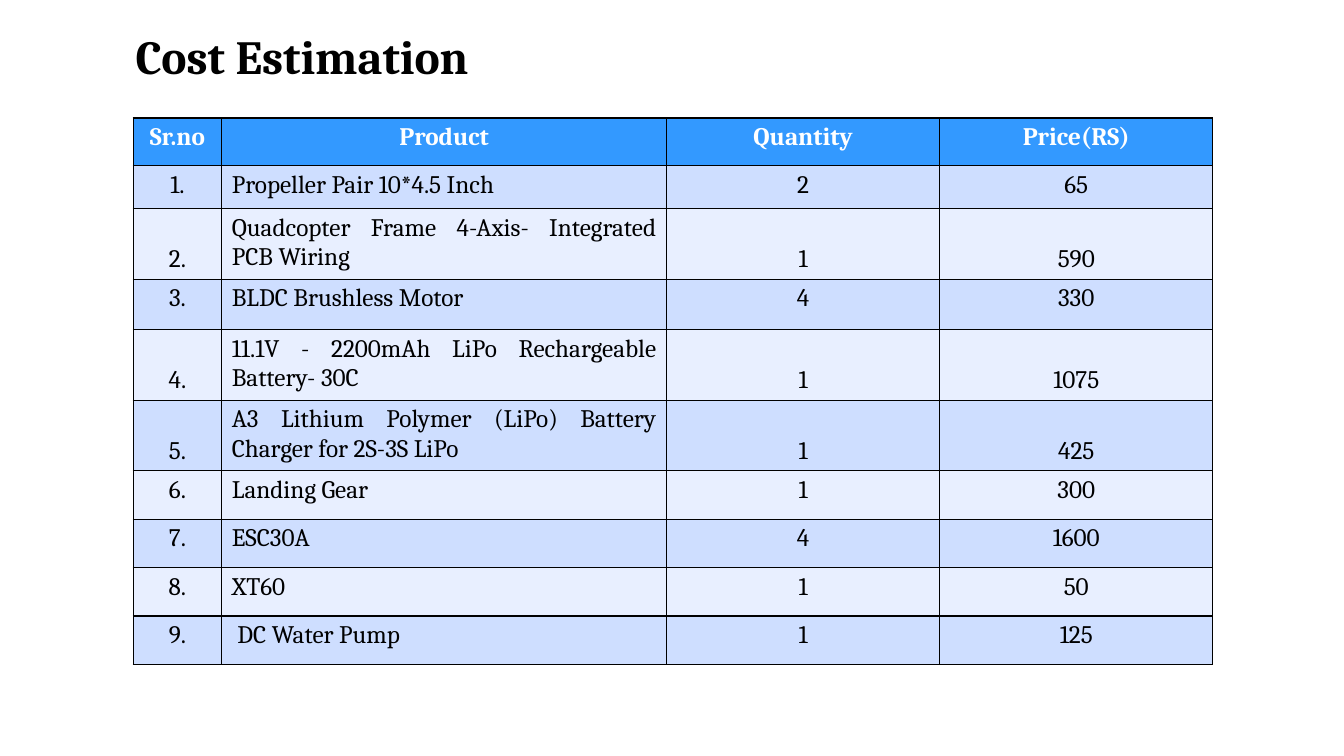
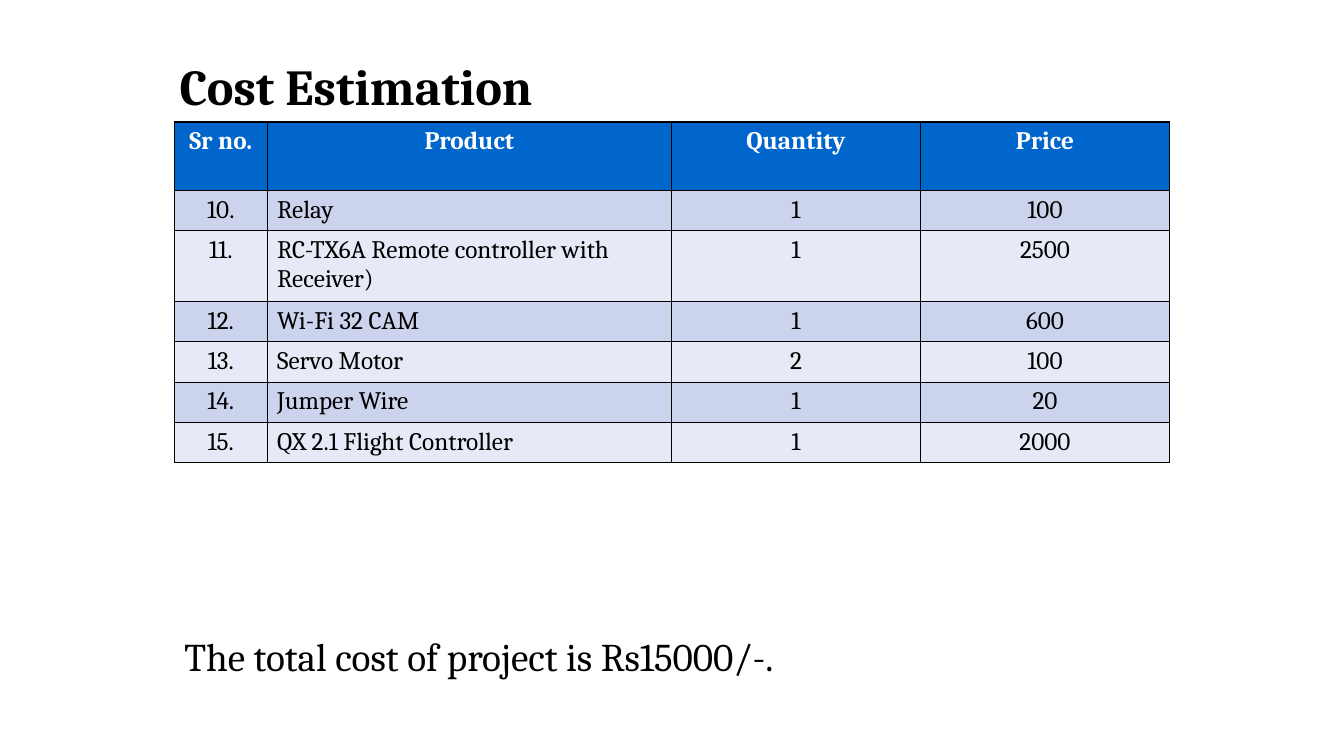
from lxml.etree import SubElement
from pptx import Presentation
from pptx.dml.color import RGBColor
from pptx.enum.text import MSO_ANCHOR, PP_ALIGN
from pptx.oxml.ns import qn
from pptx.util import Inches, Pt

# Shared style
FONT = "Cambria"
BLACK = RGBColor(0x00, 0x00, 0x00)
WHITE = RGBColor(0xFF, 0xFF, 0xFF)
SKY = RGBColor(0x33, 0x99, 0xFF)
SKY_BANDS = RGBColor(0xCE, 0xDE, 0xFF), RGBColor(0xE8, 0xEF, 0xFF)
NAVY = RGBColor(0x00, 0x66, 0xCC)
NAVY_BANDS = RGBColor(0xCC, 0xD3, 0xEC), RGBColor(0xE7, 0xEA, 0xF6)
TABLE_SIZE = 18
TALL_ROW = 0.6  # rows above this height hold two lines

# Content: boxes are left, top, width, height in inches
TITLE = "Cost Estimation"
PAGES = [
    {
        "title_box": (1, 0.22, 3.89, 0.67), "title_size": 34,
        "origin": (1.32, 1.17),
        "columns": (0.88, 4.41, 2.71, 2.71),
        "heights": (0.47, 0.43, 0.68, 0.5, 0.68, 0.68, 0.48, 0.48, 0.48, 0.48),
        "header_fill": SKY, "bands": SKY_BANDS,
        "product_align": PP_ALIGN.JUSTIFY, "tall_anchor": MSO_ANCHOR.BOTTOM,
        "header": ("Sr.no", "Product", "Quantity", "Price(RS)"),
        "first_number": 1,
        "items": [
            ("Propeller Pair 10*4.5 Inch", 2, 65),
            ("Quadcopter Frame 4-Axis- Integrated PCB Wiring", 1, 590),
            ("BLDC Brushless Motor", 4, 330),
            ("11.1V - 2200mAh LiPo Rechargeable Battery- 30C", 1, 1075),
            ("A3 Lithium Polymer (LiPo) Battery Charger for 2S-3S LiPo", 1, 425),
            ("Landing Gear", 1, 300),
            ("ESC30A", 4, 1600),
            ("XT60", 1, 50),
            (" DC Water Pump", 1, 125),
        ],
    },
    {
        "title_box": (1.49, 0.5, 3.98, 0.71), "title_size": 36,
        "origin": (1.73, 1.21),
        "columns": (0.92, 4.01, 2.47, 2.47),
        "heights": (0.68, 0.4, 0.7, 0.4, 0.4, 0.4, 0.4),
        "header_fill": NAVY, "bands": NAVY_BANDS,
        "product_align": PP_ALIGN.LEFT, "tall_anchor": MSO_ANCHOR.TOP,
        "header": ("Sr no.", "Product", "Quantity", "Price"),
        "first_number": 10,
        "items": [
            ("Relay", 1, 100),
            ("RC-TX6A Remote controller with Receiver)", 1, 2500),
            ("Wi-Fi 32 CAM", 1, 600),
            ("Servo Motor", 2, 100),
            ("Jumper Wire", 1, 20),
            ("QX 2.1 Flight Controller", 1, 2000),
        ],
        "total": "The total cost of project is Rs15000/-.",
    },
]
TOTAL_BOX = (1.73, 6.22, 9.5, 0.57)


def write(frame, text, size, color=BLACK, bold=False, align=PP_ALIGN.LEFT):
    frame.text = text
    frame.word_wrap = True
    paragraph = frame.paragraphs[0]
    paragraph.alignment = align
    font = paragraph.runs[0].font
    font.name, font.size, font.bold = FONT, Pt(size), bold
    font.color.rgb = color


def add_text(slide, box, text, size, **style):
    frame = slide.shapes.add_textbox(*map(Inches, box)).text_frame
    write(frame, text, size, **style)
    return frame


def add_title(slide, box, size):
    frame = add_text(slide, box, TITLE, size, bold=True, align=PP_ALIGN.CENTER)
    frame.margin_left = Inches(0.2)


def add_borders(cell):
    properties = cell._tc.get_or_add_tcPr()
    for side in ("lnL", "lnR", "lnT", "lnB"):
        line = SubElement(properties, qn(f"a:{side}"), w=str(Pt(1)))
        SubElement(SubElement(line, qn("a:solidFill")), qn("a:srgbClr"), val=str(BLACK))


def add_cost_table(slide, page):
    numbered = [(f"{number}.", *item)
                for number, item in enumerate(page["items"], page["first_number"])]
    rows = [page["header"], *numbered]
    columns, heights = page["columns"], page["heights"]
    extent = (*page["origin"], sum(columns), sum(heights))
    table = slide.shapes.add_table(len(rows), len(columns), *map(Inches, extent)).table
    for column, width in zip(table.columns, columns):
        column.width = Inches(width)
    for r, (row, height) in enumerate(zip(rows, heights)):
        table.rows[r].height = Inches(height)
        is_header = r == 0
        for c, value in enumerate(row):
            cell = table.cell(r, c)
            is_product = c == 1 and not is_header
            write(cell.text_frame, str(value), TABLE_SIZE,
                  color=WHITE if is_header else BLACK, bold=is_header,
                  align=page["product_align"] if is_product else PP_ALIGN.CENTER)
            if height > TALL_ROW and not is_product:
                cell.vertical_anchor = page["tall_anchor"]
            add_borders(cell)
            cell.fill.solid()
            cell.fill.fore_color.rgb = (
                page["header_fill"] if is_header else page["bands"][(r - 1) % 2])


def main():
    deck = Presentation()
    deck.slide_width, deck.slide_height = Inches(13.33), Inches(7.5)
    for page in PAGES:
        slide = deck.slides.add_slide(deck.slide_layouts[6])
        add_title(slide, page["title_box"], page["title_size"])
        add_cost_table(slide, page)
        if "total" in page:
            add_text(slide, TOTAL_BOX, page["total"], 28)
    deck.save("out.pptx")


if __name__ == "__main__":
    main()
